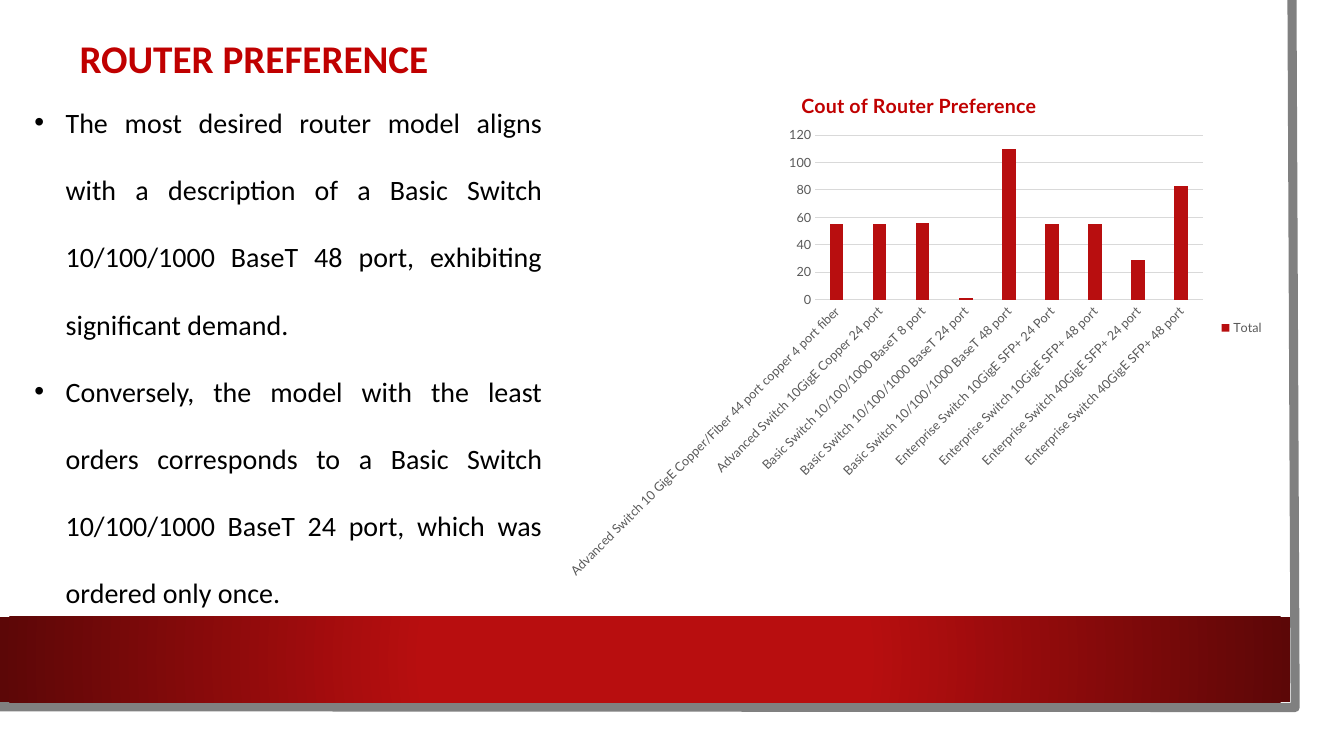
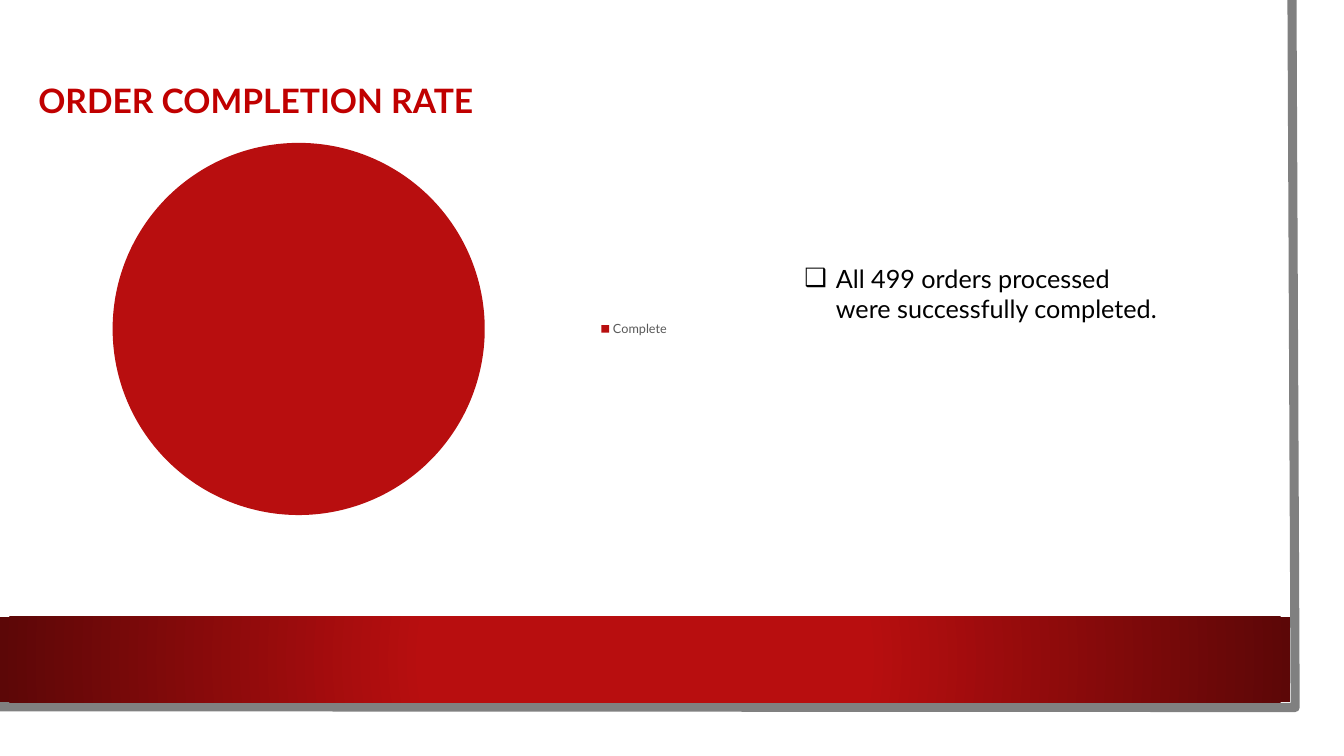
from dataclasses import dataclass

from pptx import Presentation
from pptx.chart.chart import Chart
from pptx.chart.data import CategoryChartData
from pptx.dml.color import RGBColor
from pptx.enum.chart import XL_CHART_TYPE, XL_LEGEND_POSITION, XL_TICK_MARK
from pptx.enum.shapes import MSO_SHAPE
from pptx.enum.text import MSO_ANCHOR, MSO_AUTO_SIZE, PP_ALIGN
from pptx.oxml import parse_xml
from pptx.oxml.ns import nsdecls, qn
from pptx.slide import Slide, SlideLayout
from pptx.util import Cm, Pt


@dataclass(frozen=True)
class Theme:
    white: RGBColor = RGBColor(0xFF, 0xFF, 0xFF)
    black: RGBColor = RGBColor(0, 0, 0)
    title: RGBColor = RGBColor(0xC0, 0, 0)
    accent: RGBColor = RGBColor(0xB8, 0x0E, 0x0F)
    accent_dark: RGBColor = RGBColor(0x5C, 0x07, 0x07)
    frame: RGBColor = RGBColor(0x80, 0x80, 0x80)
    label: RGBColor = RGBColor(0x59, 0x59, 0x59)
    grid: RGBColor = RGBColor(0xD9, 0xD9, 0xD9)
    chart_font: str = "Lato"
    chart_size: float = 10
    label_size: float = 9
    chart_title_size: float = 14
    frame_width: float = 6.5
    grid_width: float = 0.75


THEME = Theme()


@dataclass(frozen=True)
class Box:
    left: float
    top: float
    width: float
    height: float

    def emu(self) -> tuple[Cm, Cm, Cm, Cm]:
        return Cm(self.left), Cm(self.top), Cm(self.width), Cm(self.height)


@dataclass(frozen=True)
class TextBlock:
    box: Box
    paragraphs: tuple[str, ...]
    font: str
    size: float
    color: RGBColor
    bold: bool = False
    wrap: bool = True
    align: PP_ALIGN = PP_ALIGN.LEFT
    line_spacing: float = 1.0
    bullet: str = ""


@dataclass(frozen=True)
class ChartBlock:
    box: Box
    kind: XL_CHART_TYPE
    series: str
    values: dict[str, int]


ROUTER_TITLE = TextBlock(Box(1.75, 0.74, 9.4, 1.45), ("ROUTER PREFERENCE",),
                         "Calibri", 28, THEME.title, bold=True, wrap=False)
ROUTER_BODY = TextBlock(
    Box(0.61, 1.68, 13.31, 13.94),
    (
        "The most desired router model aligns with a description of a Basic Switch "
        "10/100/1000 BaseT 48 port, exhibiting significant demand.",
        "Conversely, the model with the least orders corresponds to a Basic Switch "
        "10/100/1000 BaseT 24 port, which was ordered only once.",
    ),
    "Calibri", 20, THEME.black, align=PP_ALIGN.JUSTIFY, line_spacing=2.0, bullet="•",
)
ROUTER_CHART = ChartBlock(
    Box(13.92, 1.68, 18.19, 13.16), XL_CHART_TYPE.COLUMN_CLUSTERED, "Total",
    {
        "Advanced Switch 10 GigE Copper/Fiber 44 port copper 4 port fiber": 55,
        "Advanced Switch 10GigE Copper 24 port": 55,
        "Basic Switch 10/100/1000 BaseT 8 port": 56,
        "Basic Switch 10/100/1000 BaseT 24 port": 1,
        "Basic Switch 10/100/1000 BaseT 48 port": 110,
        "Enterprise Switch 10GigE SFP+ 24 Port": 55,
        "Enterprise Switch 10GigE SFP+ 48 port": 55,
        "Enterprise Switch 40GigE SFP+ 24 port": 29,
        "Enterprise Switch 40GigE SFP+ 48 port": 83,
    },
)
ORDER_TITLE = TextBlock(Box(0.71, 1.88, 12.04, 1.27), ("ORDER COMPLETION RATE",),
                        "Lato", 24, THEME.title, bold=True, wrap=False,
                        align=PP_ALIGN.JUSTIFY)
ORDER_BODY = TextBlock(Box(20.02, 6.5, 9.42, 2.57),
                       ("All 499 orders processed were successfully completed.",),
                       "Lato", 18, THEME.black, bullet="❑")
ORDER_CHART = ChartBlock(Box(0, 3.25, 17.12, 10.08), XL_CHART_TYPE.PIE,
                         "Series 1", {"Complete": 100})


def add_frame(s: Slide, layout: SlideLayout) -> None:
    page = s.shapes.add_shape(MSO_SHAPE.RECTANGLE, *Box(0, 0, 33.27, 18.47).emu())
    page.fill.solid()
    page.fill.fore_color.rgb = THEME.white
    page.line.fill.background()

    builder = s.shapes.build_freeform(Cm(32.56), Cm(0))
    builder.add_line_segments([(Cm(32.64), Cm(17.83)), (Cm(-0.08), Cm(17.81))], close=False)
    edge = builder.convert_to_shape()
    edge.fill.background()
    edge.line.color.rgb = THEME.frame
    edge.line.width = Pt(THEME.frame_width)

    band = s.shapes.add_shape(MSO_SHAPE.RECTANGLE, *Box(0, 15.54, 32.51, 2.16).emu())
    band.line.fill.background()
    band.element.spPr.find(qn("a:prstGeom")).addnext(parse_xml(
        f'<a:gradFill {nsdecls("a")} rotWithShape="1"><a:gsLst>'
        f'<a:gs pos="34000"><a:srgbClr val="{THEME.accent}"/></a:gs>'
        f'<a:gs pos="100000"><a:srgbClr val="{THEME.accent_dark}"/></a:gs></a:gsLst>'
        '<a:path path="circle"><a:fillToRect l="50000" t="50000" r="50000" b="50000"/>'
        '</a:path></a:gradFill>'))

    first = layout.placeholders[0].element
    for sp in (page, edge, band):
        sp.shadow.inherit = False
        first.addprevious(sp.element)


def fill_placeholder(s: Slide, idx: int, block: TextBlock) -> None:
    sp = s.placeholders[idx]
    sp.left, sp.top, sp.width, sp.height = block.box.emu()
    tf = sp.text_frame
    tf.word_wrap = block.wrap
    tf.auto_size = MSO_AUTO_SIZE.NONE
    tf.vertical_anchor = MSO_ANCHOR.TOP
    for i, text in enumerate(block.paragraphs):
        p = tf.add_paragraph() if i else tf.paragraphs[0]
        p.alignment = block.align
        p.line_spacing = block.line_spacing
        p.space_before = Pt(0)
        if block.bullet:
            pPr = p._p.get_or_add_pPr()
            pPr.set("marL", str(Cm(0.79)))
            pPr.set("indent", str(-Cm(0.79)))
            pPr.append(parse_xml(f'<a:buChar {nsdecls("a")} char="{block.bullet}"/>'))
        r = p.add_run()
        r.text = text
        r.font.name = block.font
        r.font.size = Pt(block.size)
        r.font.bold = block.bold
        r.font.color.rgb = block.color


def set_layout(host, position: int, inner: bool = False, **fractions: float) -> None:
    for old in host.findall(qn("c:layout")):
        host.remove(old)
    target = '<c:layoutTarget val="inner"/>' if inner else ""
    modes = "".join(f'<c:{k}Mode val="edge"/>' for k in fractions if k in ("x", "y"))
    values = "".join(f'<c:{k} val="{v}"/>' for k, v in fractions.items())
    host.insert(position, parse_xml(
        f'<c:layout {nsdecls("c")}><c:manualLayout>{target}{modes}{values}'
        '</c:manualLayout></c:layout>'))


def style_label(font) -> None:
    font.name = THEME.chart_font
    font.size = Pt(THEME.label_size)
    font.color.rgb = THEME.label


def add_chart(s: Slide, block: ChartBlock) -> Chart:
    data = CategoryChartData()
    data.categories = list(block.values)
    data.add_series(block.series, list(block.values.values()))
    chart = s.shapes.add_chart(block.kind, *block.box.emu(), data).chart
    chart.font.name = THEME.chart_font
    chart.font.size = Pt(THEME.chart_size)
    chart.font.color.rgb = THEME.black
    chart.has_title = False
    chart.has_legend = True
    chart.legend.position = XL_LEGEND_POSITION.RIGHT
    chart.legend.include_in_layout = False
    style_label(chart.legend.font)
    return chart


def style_columns(chart: Chart, title: str) -> None:
    chart.has_title = True
    p = chart.chart_title.text_frame.paragraphs[0]
    r = p.add_run()
    r.text = title
    r.font.name = THEME.chart_font
    r.font.size = Pt(THEME.chart_title_size)
    r.font.bold = True
    r.font.color.rgb = THEME.title
    set_layout(chart.chart_title.element, 1, x=0.34, y=0.04)
    set_layout(chart.element.xpath(".//c:plotArea")[0], 0, inner=True,
               x=0.364, y=0.131, w=0.537, h=0.315)

    plot = chart.plots[0]
    plot.vary_by_categories = False
    plot.gap_width = 219
    plot.overlap = -27
    fill = plot.series[0].format.fill
    fill.solid()
    fill.fore_color.rgb = THEME.accent

    cat, val = chart.category_axis, chart.value_axis
    for axis in (cat, val):
        axis.major_tick_mark = axis.minor_tick_mark = XL_TICK_MARK.NONE
        style_label(axis.tick_labels.font)
    chart.element.xpath(".//c:catAx/c:txPr/a:bodyPr")[0].set("rot", "-2700000")
    val.minimum_scale, val.maximum_scale, val.major_unit = 0, 120, 20
    val.format.line.fill.background()
    for line in (cat.format.line, val.major_gridlines.format.line):
        line.color.rgb = THEME.grid
        line.width = Pt(THEME.grid_width)


def style_pie(chart: Chart) -> None:
    plot = chart.plots[0]
    plot.vary_by_categories = True
    fill = plot.series[0].points[0].format.fill
    fill.solid()
    fill.fore_color.rgb = THEME.accent


def add_slide(prs, title: TextBlock, body: TextBlock) -> Slide:
    s = prs.slides.add_slide(prs.slide_layouts[1])
    fill_placeholder(s, 0, title)
    fill_placeholder(s, 1, body)
    return s


def main() -> None:
    prs = Presentation()
    prs.slide_width, prs.slide_height = Cm(33.87), Cm(19.05)

    s = add_slide(prs, ROUTER_TITLE, ROUTER_BODY)
    add_frame(s, prs.slide_layouts[1])
    style_columns(add_chart(s, ROUTER_CHART), "Cout of Router Preference")

    s = add_slide(prs, ORDER_TITLE, ORDER_BODY)
    style_pie(add_chart(s, ORDER_CHART))

    prs.save("out.pptx")


if __name__ == "__main__":
    main()
